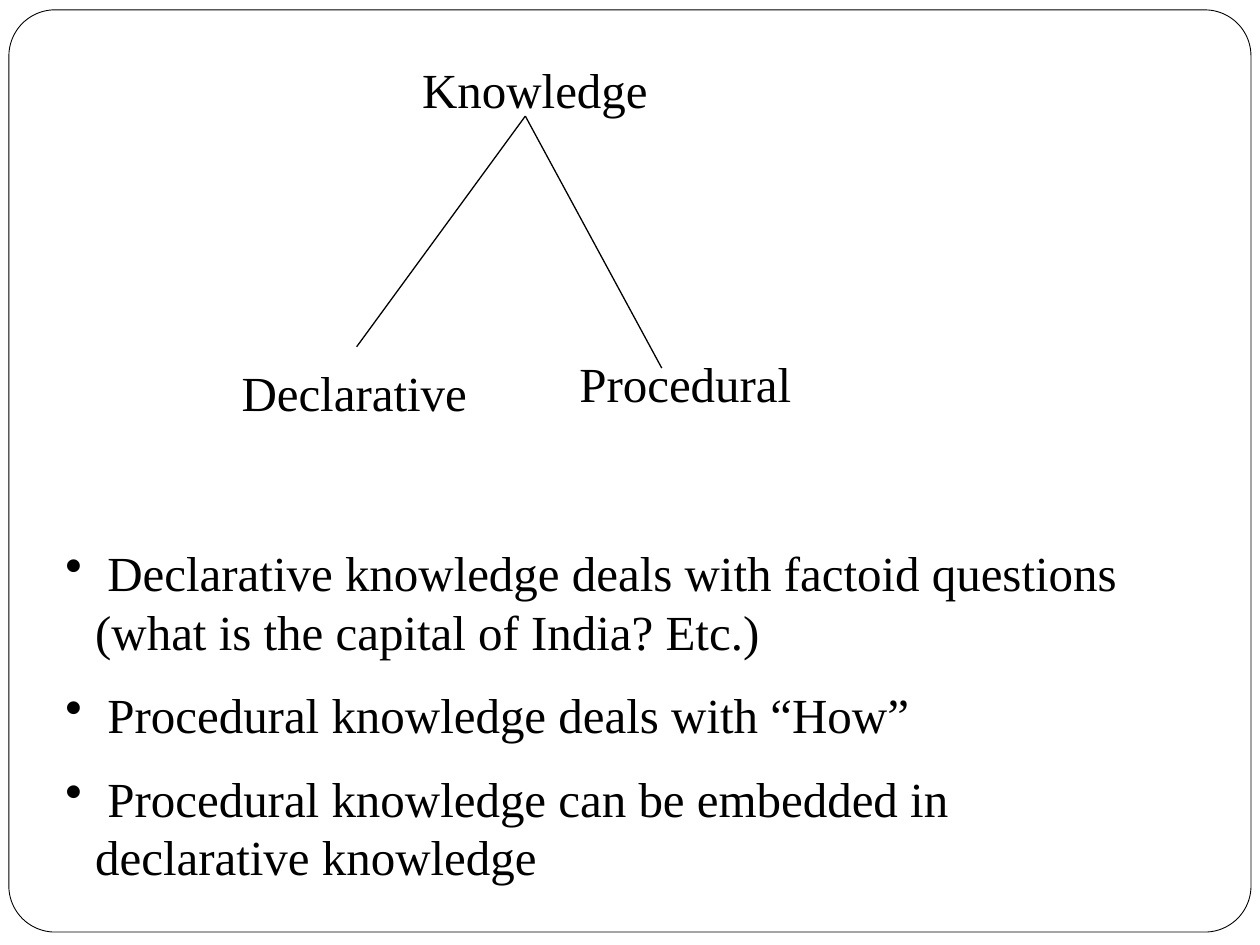
from pptx import Presentation
from pptx.dml.color import RGBColor
from pptx.enum.shapes import MSO_CONNECTOR, MSO_SHAPE
from pptx.oxml.ns import qn
from pptx.util import Cm, Pt
from lxml.etree import SubElement

THEME = {
    "ink": RGBColor(0, 0, 0),
    "paper": RGBColor(255, 255, 255),
    "font": {"name": "Times New Roman", "size": Pt(28)},
    "line_spacing": Pt(33.7),
    "paragraph_gap": Pt(14),
    "frame_line": Pt(0.5),
    "branch_line": Pt(0.75),
}

FRAME = (0.18, 0.2, 25.04, 18.59)
FRAME_ROUNDING = 0.05
LABEL_HEIGHT = 1.45
LABELS = [
    ("Knowledge", 8.26, 1.07, 6.35),
    ("Declarative", 4.62, 7.19, 5.92),
    ("Procedural", 11.43, 6.99, 7.42),
]
BRANCH_START = (10.59, 2.34)
BRANCH_ENDS = [(7.19, 6.99), (13.34, 7.42)]

NOTES_BOX = (1.07, 10.8, 22.23, 7.37)
NOTES = [
    " Declarative knowledge deals with factoid questions (what is the capital of India? Etc.)",
    " Procedural knowledge deals with “How”",
    " Procedural knowledge can be embedded in declarative knowledge",
]
BULLET_INDENT = Cm(0.6)


def lengths(values):
    return [Cm(value) for value in values]


def set_values(target, values):
    for name, value in values.items():
        setattr(target, name, value)


def add_frame(slide):
    frame = slide.shapes.add_shape(MSO_SHAPE.ROUNDED_RECTANGLE, *lengths(FRAME))
    frame.adjustments[0] = FRAME_ROUNDING
    frame.shadow.inherit = False
    frame.fill.solid()
    frame.fill.fore_color.rgb = THEME["paper"]
    frame.line.color.rgb = THEME["ink"]
    frame.line.width = THEME["frame_line"]


def add_branch(slide, end):
    branch = slide.shapes.add_connector(
        MSO_CONNECTOR.STRAIGHT, *lengths(BRANCH_START + end)
    )
    branch.line.color.rgb = THEME["ink"]
    branch.line.width = THEME["branch_line"]
    SubElement(branch._element.spPr, qn("a:effectLst"))


def add_bullet(paragraph):
    properties = paragraph._p.get_or_add_pPr()
    properties.set("marL", str(BULLET_INDENT))
    properties.set("indent", str(-BULLET_INDENT))
    SubElement(properties, qn("a:buChar")).set("char", "•")


def add_text(slide, box, texts, bulleted=False):
    frame = slide.shapes.add_textbox(*lengths(box)).text_frame
    frame.word_wrap = True
    for index, text in enumerate(texts):
        paragraph = frame.add_paragraph() if index else frame.paragraphs[0]
        paragraph.text = text
        if bulleted:
            add_bullet(paragraph)
        paragraph.line_spacing = THEME["line_spacing"]
        if index:
            paragraph.space_before = THEME["paragraph_gap"]
        set_values(paragraph.font, THEME["font"])
        paragraph.font.color.rgb = THEME["ink"]


def main():
    presentation = Presentation()
    set_values(presentation, {"slide_width": Cm(25.4), "slide_height": Cm(19.05)})
    slide = presentation.slides.add_slide(presentation.slide_layouts[6])
    add_frame(slide)
    for end in BRANCH_ENDS:
        add_branch(slide, end)
    for text, left, top, width in LABELS:
        add_text(slide, (left, top, width, LABEL_HEIGHT), [text])
    add_text(slide, NOTES_BOX, NOTES, bulleted=True)
    presentation.save("out.pptx")


if __name__ == "__main__":
    main()
